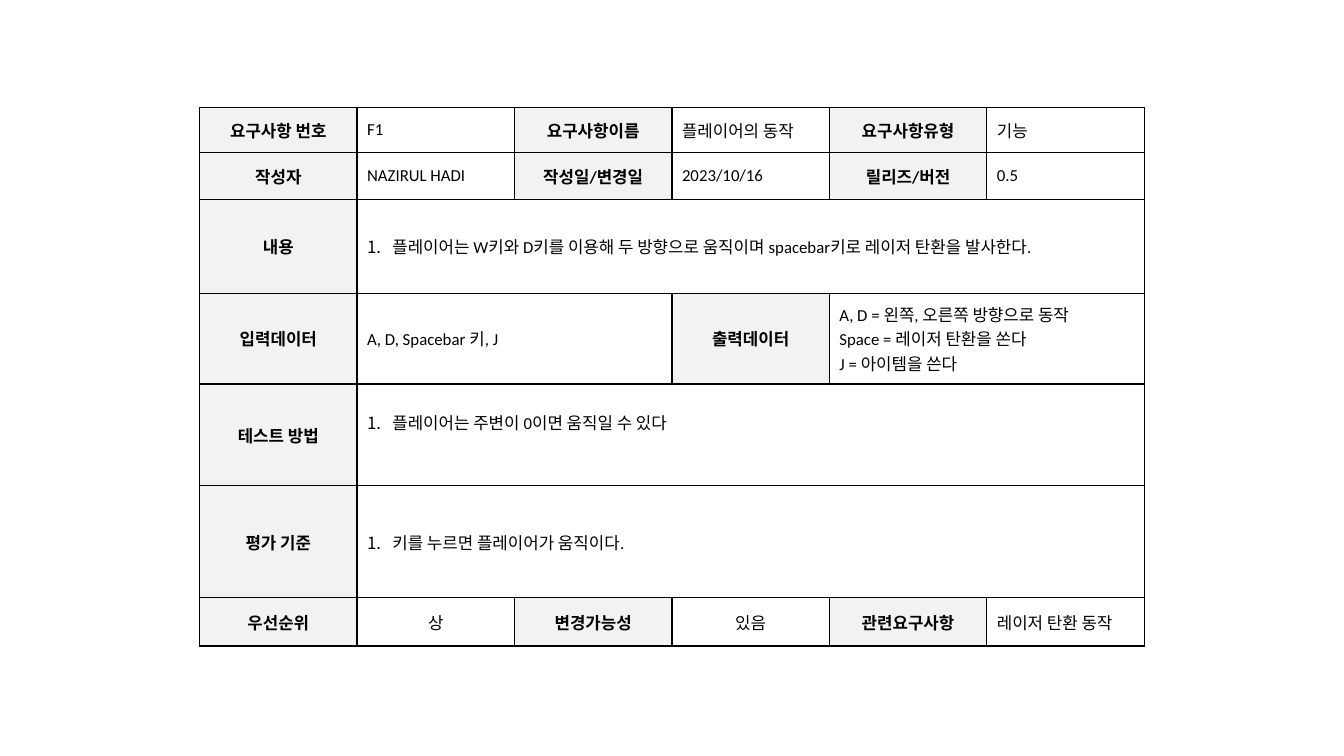
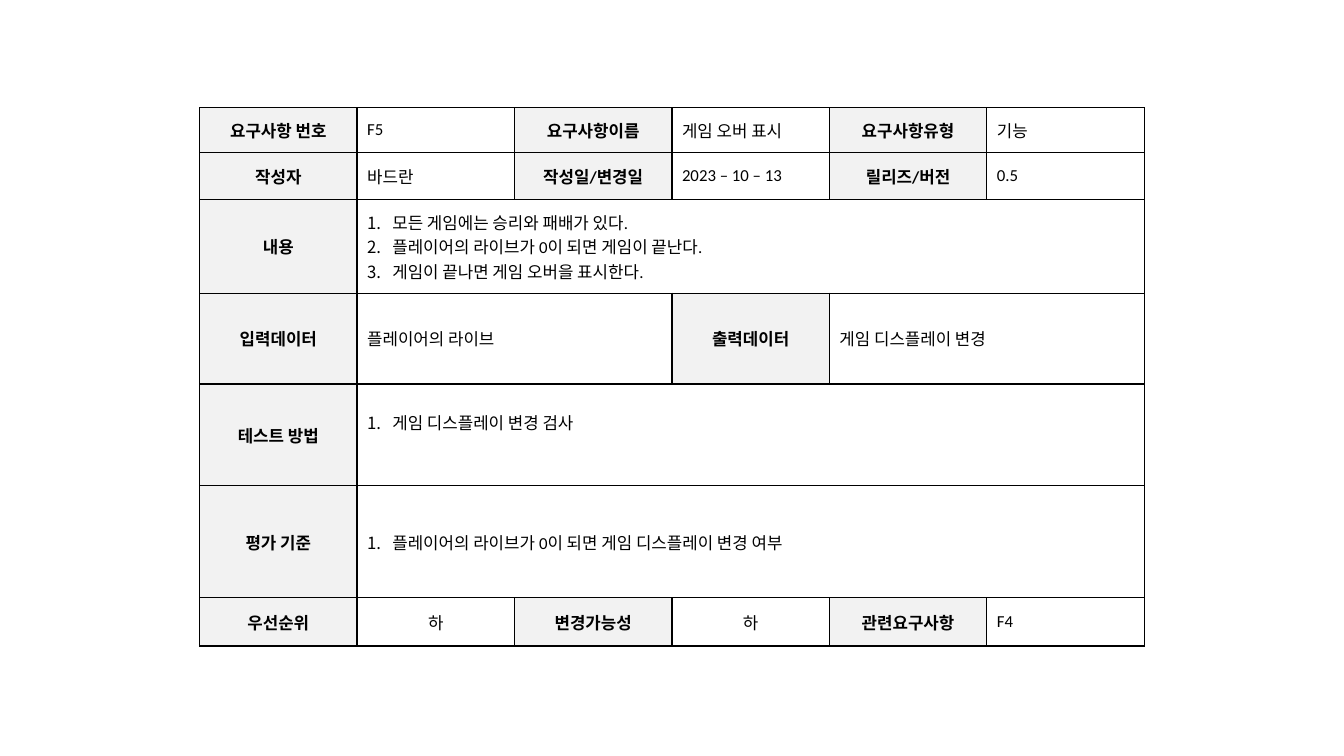
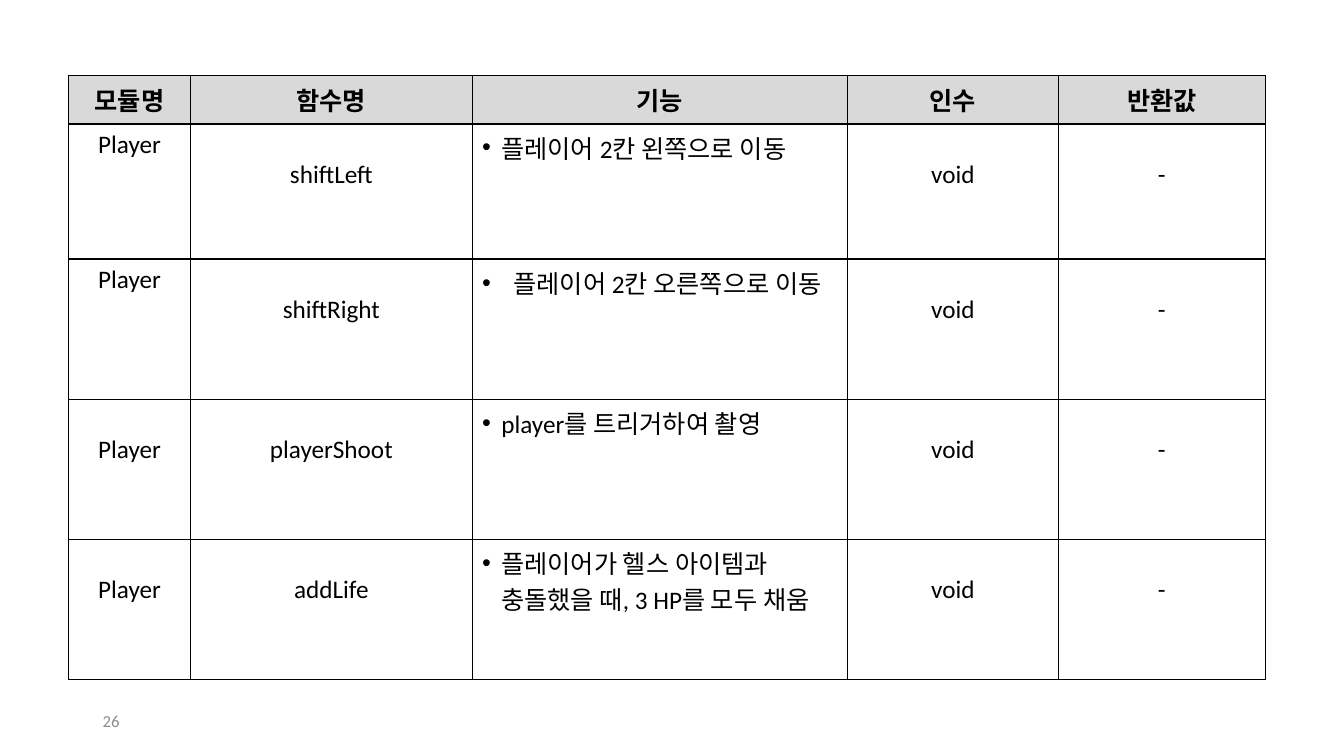
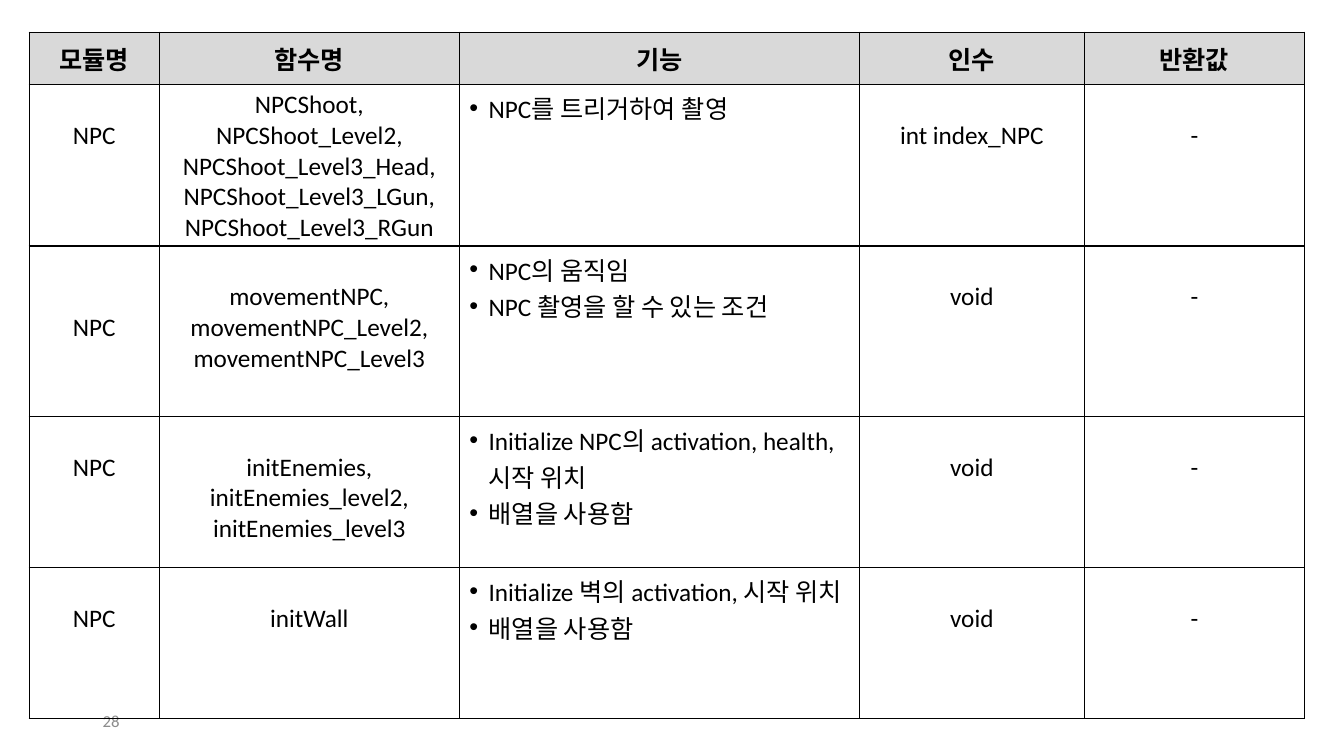
from dataclasses import dataclass

from lxml import etree
from pptx import Presentation
from pptx.dml.color import RGBColor
from pptx.enum.text import MSO_ANCHOR, PP_ALIGN
from pptx.oxml.ns import qn
from pptx.presentation import Presentation as Deck
from pptx.slide import Slide
from pptx.table import Table, _Cell
from pptx.text.text import _Paragraph
from pptx.util import Emu, Inches, Pt

LEFT, CENTER = PP_ALIGN.LEFT, PP_ALIGN.CENTER
TOP, MIDDLE = MSO_ANCHOR.TOP, MSO_ANCHOR.MIDDLE

COLORS = {
    "text": "000000",
    "border": "000000",
    "label": "F2F2F2",
    "header": "D9D9D9",
    "page_number": "8C8C8C",
}
FONT = "Calibri"
SLIDE_WIDTH, SLIDE_HEIGHT = 13.33, 7.5
BLANK_LAYOUT = 6
CELL_MARGIN = 0.05
FORM_SIZE, LIST_SIZE, NUMBER_SIZE = 12, 18, 12
LIST_LINE = 0.305
NUMBERED, DOTTED = "buAutoNum", "buChar"
BULLETS = {
    NUMBERED: {"type": "arabicPeriod"},
    DOTTED: {"char": "•"},
}


@dataclass(frozen=True)
class Grid:
    left: float
    top: float
    width: float
    columns: tuple[float, ...]
    rows: tuple[float, ...]


@dataclass(frozen=True)
class Entry:
    lines: tuple[str, ...]
    size: int
    span: int = 1
    align: PP_ALIGN = LEFT
    anchor: MSO_ANCHOR = MIDDLE
    fill: str = ""
    bold: bool = False
    bullet: str = ""
    indent: float = 0.25
    space_above: float = 0
    space_below: float = 0


@dataclass(frozen=True)
class Requirement:
    number: str
    name: str
    author: str
    date: str
    content: tuple[str, ...]
    inputs: str
    outputs: tuple[str, ...]
    test: str
    criterion: str
    priority: str
    change: str
    related: str
    category: str = "기능"
    release: str = "0.5"


@dataclass(frozen=True)
class Function:
    module: str
    names: tuple[str, ...]
    duties: tuple[str, ...]
    argument: str = "void"
    returned: str = "-"
    module_drop: int = 1
    name_drop: int = 1
    indent: float = 0.19


@dataclass(frozen=True)
class FunctionPage:
    number: str
    grid: Grid
    functions: tuple[Function, ...]


FORM_GRID = Grid(1.98, 1.07, 9.37, (1,) * 6, (0.44, 0.47, 0.93, 0.9, 1.01, 1.11, 0.48))
LIST_COLUMNS = (1.21, 2.79, 3.72, 2.09, 2.05)
LIST_HEADERS = ("모듈명", "함수명", "기능", "인수", "반환값")

REQUIREMENTS = (
    Requirement(
        number="F1",
        name="플레이어의 동작",
        author="NAZIRUL HADI",
        date="2023/10/16",
        content=("플레이어는 W키와 D키를 이용해 두 방향으로 움직이며 spacebar키로 레이저 탄환을 발사한다.",),
        inputs="A, D, Spacebar 키, J",
        outputs=("A, D = 왼쪽, 오른쪽 방향으로 동작", "Space = 레이저 탄환을 쏜다", "J = 아이템을 쓴다"),
        test="플레이어는 주변이 0이면 움직일 수 있다",
        criterion="키를 누르면 플레이어가 움직이다.",
        priority="상",
        change="있음",
        related="레이저 탄환 동작",
    ),
    Requirement(
        number="F5",
        name="게임 오버 표시",
        author="바드란",
        date="2023 – 10 – 13",
        content=(
            "모든 게임에는 승리와 패배가 있다.",
            "플레이어의 라이브가 0이 되면 게임이 끝난다.",
            "게임이 끝나면 게임 오버을 표시한다.",
        ),
        inputs="플레이어의 라이브",
        outputs=("게임 디스플레이 변경",),
        test="게임 디스플레이 변경 검사",
        criterion="플레이어의 라이브가 0이 되면 게임 디스플레이 변경 여부",
        priority="하",
        change="하",
        related="F4",
    ),
)

FUNCTION_PAGES = (
    FunctionPage(
        "26",
        Grid(0.68, 0.75, 11.87, LIST_COLUMNS, (0.48, 1.34, 1.39, 1.39, 1.39)),
        (
            Function("Player", ("shiftLeft",), ("플레이어 2칸 왼쪽으로 이동",), module_drop=0),
            Function("Player", ("shiftRight",), ("플레이어 2칸 오른쪽으로 이동",), module_drop=0, indent=0.31),
            Function("Player", ("playerShoot",), ("player를 트리거하여 촬영",)),
            Function("Player", ("addLife",), ("플레이어가 헬스 아이템과 충돌했을 때, 3 HP를 모두 채움",)),
        ),
    ),
    FunctionPage(
        "28",
        Grid(0.29, 0.32, 12.65, LIST_COLUMNS, (0.52, 1.43, 1.69, 1.5, 1.5)),
        (
            Function(
                "NPC",
                ("NPCShoot, NPCShoot_Level2, NPCShoot_Level3_Head, NPCShoot_Level3_LGun, NPCShoot_Level3_RGun",),
                ("NPC를 트리거하여 촬영",),
                argument="int index_NPC",
                name_drop=0,
            ),
            Function(
                "NPC",
                ("movementNPC,", "movementNPC_Level2,", "movementNPC_Level3"),
                ("NPC의 움직임", "NPC 촬영을 할 수 있는 조건"),
                module_drop=2,
            ),
            Function(
                "NPC",
                ("initEnemies,", "initEnemies_level2,", "initEnemies_level3"),
                ("Initialize NPC의 activation, health, 시작 위치", "배열을 사용함"),
            ),
            Function("NPC", ("initWall",), ("Initialize 벽의 activation, 시작 위치", "배열을 사용함")),
        ),
    ),
)


def add_span(para: _Paragraph, text: str, size: int, color: str, bold: bool = False) -> None:
    span = para.add_run()
    span.text = text
    span.font.name = FONT
    span.font.size = Pt(size)
    span.font.bold = bold
    span.font.color.rgb = RGBColor.from_string(COLORS[color])


def add_bullet(para: _Paragraph, kind: str, indent: float) -> None:
    properties = para._p.get_or_add_pPr()
    properties.set("marL", str(Inches(indent)))
    properties.set("indent", str(-Inches(indent)))
    font = etree.SubElement(properties, qn("a:buFont"))
    font.set("typeface", "Arial" if kind == DOTTED else "+mj-lt")
    bullet = etree.SubElement(properties, qn(f"a:{kind}"))
    for name, value in BULLETS[kind].items():
        bullet.set(name, value)


def add_borders(cell: _Cell) -> None:
    properties = cell._tc.get_or_add_tcPr()
    for side in ("lnL", "lnR", "lnT", "lnB"):
        line = etree.SubElement(properties, qn(f"a:{side}"), w=str(Pt(1)))
        fill = etree.SubElement(line, qn("a:solidFill"))
        etree.SubElement(fill, qn("a:srgbClr"), val=COLORS["border"])


def fill_cell(cell: _Cell, entry: Entry) -> None:
    if entry.fill:
        cell.fill.solid()
        cell.fill.fore_color.rgb = RGBColor.from_string(COLORS[entry.fill])
    cell.vertical_anchor = entry.anchor
    cell.margin_top = Inches(CELL_MARGIN + entry.space_above)
    cell.margin_bottom = Inches(CELL_MARGIN + entry.space_below)
    frame = cell.text_frame
    for index, line in enumerate(entry.lines):
        para = frame.add_paragraph() if index else frame.paragraphs[0]
        para.alignment = entry.align
        if entry.bullet:
            add_bullet(para, entry.bullet, entry.indent)
        add_span(para, line, entry.size, "text", entry.bold)


def add_grid(page: Slide, grid: Grid) -> Table:
    frame = page.shapes.add_table(
        len(grid.rows), len(grid.columns), Inches(grid.left), Inches(grid.top),
        Inches(grid.width), Inches(sum(grid.rows)),
    )
    table = frame.table
    table.first_row = table.horz_banding = False
    unit = Inches(grid.width) / sum(grid.columns)
    for column, share in zip(table.columns, grid.columns):
        column.width = Emu(round(unit * share))
    for row, height in zip(table.rows, grid.rows):
        row.height = Inches(height)
    for cell in table.iter_cells():
        add_borders(cell)
        cell.fill.background()
    return table


def add_entries(page: Slide, grid: Grid, rows: list[list[Entry]]) -> None:
    table = add_grid(page, grid)
    for row, entries in enumerate(rows):
        column = 0
        for entry in entries:
            cell = table.cell(row, column)
            if entry.span > 1:
                cell.merge(table.cell(row, column + entry.span - 1))
            fill_cell(cell, entry)
            column += entry.span


def label(text: str) -> Entry:
    return Entry((text,), FORM_SIZE, align=CENTER, fill="label", bold=True)


def value(*lines: str, span: int = 1, align: PP_ALIGN = LEFT) -> Entry:
    return Entry(lines, FORM_SIZE, span=span, align=align)


def numbered(*lines: str, space_below: float = 0) -> Entry:
    return Entry(lines, FORM_SIZE, span=5, bullet=NUMBERED, space_below=space_below)


def requirement_rows(item: Requirement) -> list[list[Entry]]:
    return [
        [label("요구사항 번호"), value(item.number), label("요구사항이름"), value(item.name),
         label("요구사항유형"), value(item.category)],
        [label("작성자"), value(item.author), label("작성일/변경일"), value(item.date),
         label("릴리즈/버전"), value(item.release)],
        [label("내용"), numbered(*item.content)],
        [label("입력데이터"), value(item.inputs, span=2), label("출력데이터"), value(*item.outputs, span=2)],
        [label("테스트 방법"), numbered(item.test, space_below=0.25)],
        [label("평가 기준"), numbered(item.criterion)],
        [label("우선순위"), value(item.priority, align=CENTER), label("변경가능성"),
         value(item.change, align=CENTER), label("관련요구사항"), value(item.related)],
    ]


def centered(*lines: str, drop: int = 1) -> Entry:
    return Entry(lines, LIST_SIZE, align=CENTER, anchor=TOP, space_above=drop * LIST_LINE)


def function_rows(functions: tuple[Function, ...]) -> list[list[Entry]]:
    header = [Entry((text,), LIST_SIZE, align=CENTER, fill="header", bold=True) for text in LIST_HEADERS]
    return [header] + [
        [
            centered(item.module, drop=item.module_drop),
            centered(*item.names, drop=item.name_drop),
            Entry(item.duties, LIST_SIZE, anchor=TOP, bullet=DOTTED, indent=item.indent),
            centered(item.argument),
            centered(item.returned),
        ]
        for item in functions
    ]


def add_page(deck: Deck) -> Slide:
    return deck.slides.add_slide(deck.slide_layouts[BLANK_LAYOUT])


def add_page_number(page: Slide, number: str) -> None:
    box = page.shapes.add_textbox(Inches(0.92), Inches(6.95), Inches(3), Inches(0.4))
    frame = box.text_frame
    frame.word_wrap = True
    frame.vertical_anchor = MIDDLE
    add_span(frame.paragraphs[0], number, NUMBER_SIZE, "page_number")


def main() -> None:
    deck = Presentation()
    deck.slide_width, deck.slide_height = Inches(SLIDE_WIDTH), Inches(SLIDE_HEIGHT)
    for requirement in REQUIREMENTS:
        add_entries(add_page(deck), FORM_GRID, requirement_rows(requirement))
    for content in FUNCTION_PAGES:
        page = add_page(deck)
        add_page_number(page, content.number)
        add_entries(page, content.grid, function_rows(content.functions))
    deck.save("out.pptx")


if __name__ == "__main__":
    main()
